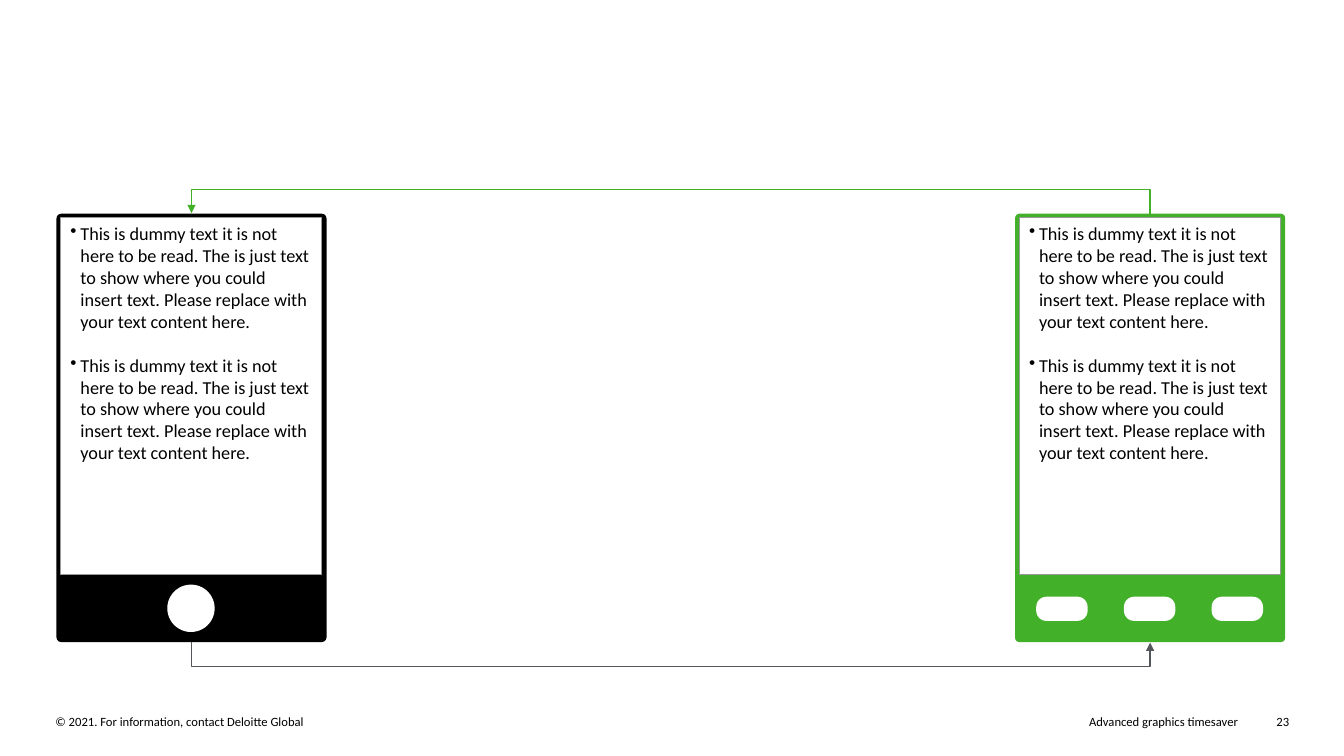
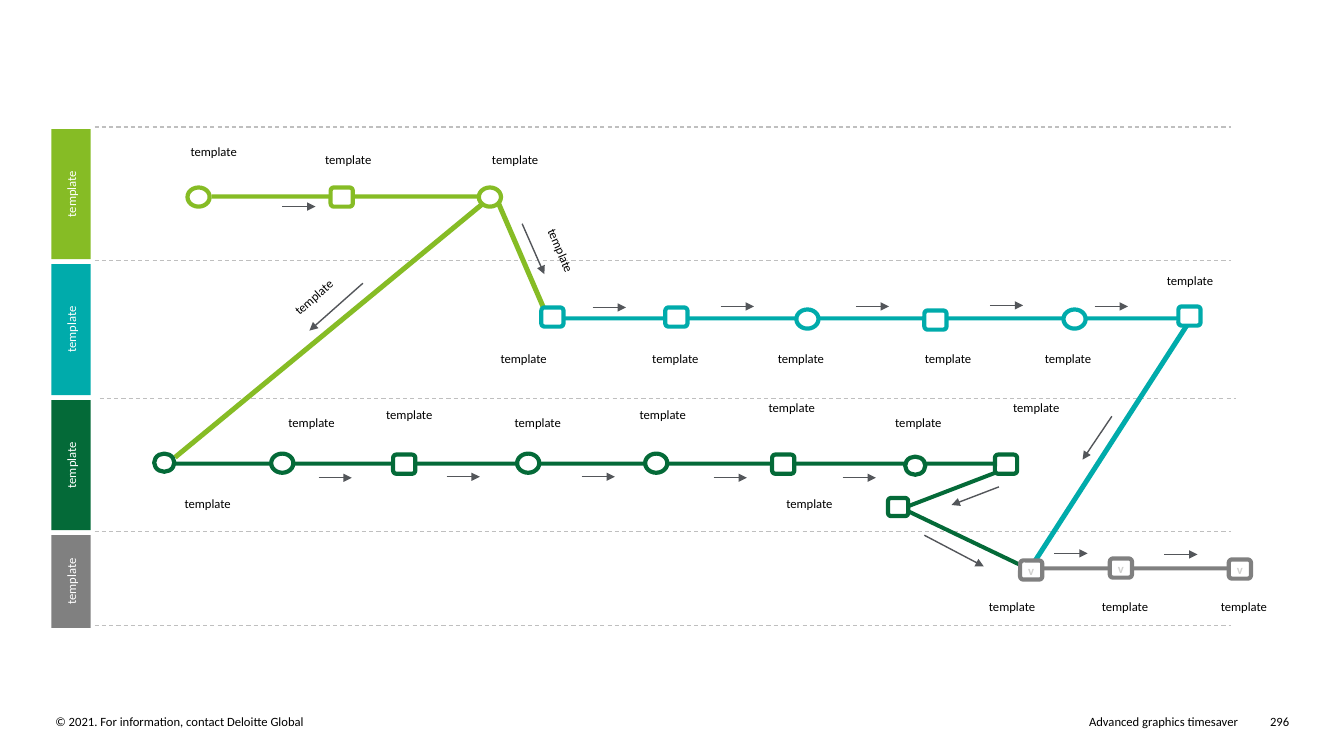
from dataclasses import dataclass

from lxml.etree import SubElement
from pptx import Presentation
from pptx.dml.color import RGBColor
from pptx.enum.dml import MSO_LINE
from pptx.enum.shapes import MSO_CONNECTOR, MSO_SHAPE
from pptx.enum.text import MSO_ANCHOR, PP_ALIGN
from pptx.oxml.ns import qn
from pptx.util import Inches, Pt

COLUMNS, ROWS = 133.33, 75
FONT = "Calibri"
BLACK, WHITE = "000000", "FFFFFF"
GREEN, LIME, TEAL, FOREST, GRAY = "43B02A", "86BC25", "00ABAB", "046A38", "808080"
SLATE, SILVER, DASH, FAINT = "53565A", "97999B", "BFBFBF", "D0D0CE"
LEFT, CENTER, RIGHT = PP_ALIGN.LEFT, PP_ALIGN.CENTER, PP_ALIGN.RIGHT
RECT, ROUND, OVAL = MSO_SHAPE.RECTANGLE, MSO_SHAPE.ROUNDED_RECTANGLE, MSO_SHAPE.OVAL

COPYRIGHT = "© 2021. For information, contact Deloitte Global"
DUMMY = ("This is dummy text it is not here to be read. The is just text to show "
         "where you could insert text. Please replace with your text content here.")
LABEL = "template"

LANES = [(LIME, 0.8, 12.9), (TEAL, 14.2, 13), (FOREST, 27.7, 12.9), (GRAY, 41.1, 9.2)]
DIVIDERS = [(4.4, 0.6), (4.4, 13.8), (4.9, 27.5), (4.4, 40.7), (4.4, 50.1)]
TRACKS = [
    (GRAY, (97, 44.2, 21.7, 0.4), 0),
    (FOREST, (84.3, 41.2, 12.8, 0.4), 205.6),
    (LIME, (40.5, 13.6, 12.8, 0.5), 66.7),
    (LIME, (16, 7.3, 27.7, 0.4), 0),
    (LIME, (7.8, 20.4, 40, 0.5), 140.5),
    (TEAL, (50.9, 19.4, 61.3, 0.4), 0),
    (TEAL, (90.7, 31.8, 28.9, 0.5), 122.8),
    (FOREST, (11.8, 33.8, 82, 0.4), 0),
    (FOREST, (84.4, 36.2, 10.9, 0.4), 339),
]
LARGE, SMALL = (2.2, 1.9), (2, 1.8)
STATIONS = [
    (LIME, OVAL, LARGE, [(13.6, 6.6), (42.5, 6.6)]),
    (LIME, ROUND, LARGE, [(27.8, 6.6)]),
    (TEAL, ROUND, LARGE, [(48.7, 18.5), (61, 18.5), (86.7, 18.8), (111.9, 18.4)]),
    (TEAL, OVAL, LARGE, [(74, 18.7), (100.5, 18.7)]),
    (FOREST, OVAL, SMALL, [(10.3, 33), (84.8, 33.3)]),
    (FOREST, OVAL, LARGE, [(21.9, 33), (46.3, 33), (59, 33)]),
    (FOREST, ROUND, LARGE, [(34, 33.1), (71.6, 33.1), (93.7, 33.1)]),
    (FOREST, ROUND, SMALL, [(83.1, 37.4)]),
    (GRAY, ROUND, LARGE, [(96.2, 43.6), (105.1, 43.4), (116.9, 43.5)]),
]
LABEL_ROWS = {
    2.3: [16.2],
    3.1: [29.55, 46.1],
    15.1: [113.05],
    22.8: [46.95, 62, 74.45, 89.05, 100.95],
    27.7: [73.55, 97.8],
    28.4: [35.6, 60.75],
    29.2: [25.9, 48.35, 86.1],
    37.2: [15.6, 75.3],
    47.4: [95.4, 106.6, 118.4],
}
TILTED_LABELS = [(50.65, 12.1, 66.9), (26.1, 16.7, 318.5)]
ARROW_ROWS = {
    8.5: [23],
    18.3: [93.2],
    18.4: [66.5, 79.9, 103.6],
    18.5: [53.8],
    35.3: [39.3, 52.7],
    35.4: [26.6, 65.8, 78.6],
    42.9: [99.6],
    43: [110.5],
}
ARROW_LENGTH = 3.3
SLANTED_ARROWS = [
    (46.8, 10.2, 49, 15.2),
    (31, 16.1, 25.7, 20.8),
    (105.3, 29.3, 102.4, 33.6),
    (94.1, 36.3, 89.4, 38.1),
    (86.7, 41.1, 92.6, 44.2),
]


@dataclass
class Box:
    left: float
    top: float
    width: float
    height: float

    def inner(self, left, top, width, height):
        return Box(self.left + left, self.top + top, width, height)

    def lengths(self):
        return [cells(n) for n in (self.left, self.top, self.width, self.height)]


def cells(count):
    return Inches(count / 10)


def color(value):
    return RGBColor.from_string(value)


def write(shape, text, size=9, ink=BLACK, align=LEFT, anchor=MSO_ANCHOR.TOP,
          insets=(0, 0), bold=False, bullet=False, gap=0, vertical=None):
    frame = shape.text_frame
    frame.word_wrap = True
    frame.vertical_anchor = anchor
    frame.margin_left = frame.margin_right = cells(insets[0])
    frame.margin_top = frame.margin_bottom = cells(insets[1])
    if vertical:
        frame._txBody.bodyPr.set("vert", vertical)
    for index, line in enumerate(text.split("\n")):
        para = frame.add_paragraph() if index else frame.paragraphs[0]
        para.alignment = align
        if index:
            para.space_before = Pt(gap)
        if bullet:
            properties = para._p.get_or_add_pPr()
            properties.set("marL", str(cells(1)))
            properties.set("indent", str(-cells(1)))
            SubElement(properties, qn("a:buChar")).set("char", "•")
        span = para.add_run()
        span.text = line
        span.font.name = FONT
        span.font.size = Pt(size)
        span.font.bold = bold
        span.font.color.rgb = color(ink)


def add_text(page, box, text, angle=0, **style):
    shape = page.shapes.add_textbox(*box.lengths())
    shape.rotation = angle
    write(shape, text, **style)


def add_block(page, kind, box, fill, outline=None, weight=1, corner=None, angle=0):
    shape = page.shapes.add_shape(kind, *box.lengths())
    shape.shadow.inherit = False
    shape.rotation = angle
    shape.fill.solid()
    shape.fill.fore_color.rgb = color(fill)
    if outline:
        shape.line.color.rgb = color(outline)
        shape.line.width = Pt(weight)
    else:
        shape.line.fill.background()
    if corner is not None:
        shape.adjustments[0] = corner
    return shape


def add_line(page, box, ends, ink, weight=1, dash=None, arrow=False,
             kind=MSO_CONNECTOR.STRAIGHT):
    x1, y1, x2, y2 = ends
    connector = page.shapes.add_connector(
        kind, cells(box.left + x1), cells(box.top + y1),
        cells(box.left + x2), cells(box.top + y2))
    connector.line.color.rgb = color(ink)
    connector.line.width = Pt(weight)
    if dash:
        connector.line.dash_style = dash
    if arrow:
        SubElement(connector.line._get_or_add_ln(), qn("a:tailEnd")).set("type", "triangle")
    SubElement(connector._element.spPr, qn("a:effectLst"))
    return connector


def add_loop(page, box, ink, flip):
    thickness, reach = 0.1, 2.5
    middle_x, middle_y = box.left + box.width / 2, box.top + box.height / 2
    upright = Box(middle_x - thickness / 2, middle_y - box.width / 2, thickness, box.width)
    loop = add_line(page, upright, (0, 0, thickness, box.width), ink, arrow=True,
                    kind=MSO_CONNECTOR.ELBOW)
    loop.rotation = 270
    properties = loop._element.spPr
    properties.find(qn("a:xfrm")).set(flip, "1")
    geometry = properties.find(qn("a:prstGeom"))
    guides = geometry.find(qn("a:avLst"))
    if guides is None:
        guides = SubElement(geometry, qn("a:avLst"))
    guide = SubElement(guides, qn("a:gd"))
    guide.set("name", "adj1")
    guide.set("fmla", f"val {round(reach / thickness * 100000)}")


def add_footer(page, box, number):
    add_text(page, box.inner(0, 0, 58.6, 1.5), COPYRIGHT)
    add_text(page, box.inner(63.8, 0, 53.5, 1.5), "Advanced graphics timesaver", align=RIGHT)
    add_text(page, box.inner(119, 0, 3.4, 1.5), number, align=RIGHT)


def add_phone(page, box, body, corner):
    add_block(page, ROUND, box, body, corner=corner)
    screen = add_block(page, RECT, box.inner(0.4, 0.4, 25.9, 35.4), WHITE, SILVER, 0.75)
    write(screen, f"{DUMMY}\n{DUMMY}", size=13, insets=(1, 0.5), bullet=True, gap=15.7)


def add_phones(page, box):
    width = 26.8
    right = box.inner(box.width - width, 0, width, box.height)
    left = box.inner(0, 0, width, box.height)
    add_phone(page, right, GREEN, 0.016)
    for index in range(3):
        add_block(page, ROUND, right.inner(2.1 + 8.7 * index, 38, 5.1, 2.4), WHITE, corner=0.42)
    add_phone(page, left, BLACK, 0.018)
    add_block(page, OVAL, left.inner(11, 36.8, 4.7, 4.7), WHITE)
    span = box.width - width
    add_loop(page, box.inner(width / 2, 0, span, 0), GREEN, "flipV")
    add_loop(page, box.inner(width / 2, box.height, span, 0), SLATE, "flipH")


def add_lanes(page, box):
    for fill, top, height in LANES:
        head = add_block(page, RECT, box.inner(0.1, top, 3.9, height), fill)
        write(head, LABEL, ink=WHITE, align=CENTER, anchor=MSO_ANCHOR.MIDDLE,
              insets=(0, 0.5), vertical="vert270")
    for left, top in DIVIDERS:
        add_line(page, box, (left, top, left + 112.7, top), DASH, 0.75, MSO_LINE.DASH)


def add_route(page, box):
    for fill, place, angle in TRACKS:
        add_block(page, RECT, box.inner(*place), fill, angle=angle)
    for outline, kind, size, places in STATIONS:
        for place in places:
            station = add_block(page, kind, box.inner(*place, *size), WHITE, outline, 3)
            if outline == GRAY:
                write(station, "v", ink=FAINT, align=CENTER, anchor=MSO_ANCHOR.MIDDLE, bold=True)


def add_route_arrows(page, box):
    level = [(left, top, left + ARROW_LENGTH, top)
             for top, lefts in ARROW_ROWS.items() for left in lefts]
    for ends in level + SLANTED_ARROWS:
        add_line(page, box, ends, SLATE, arrow=True)


def add_route_labels(page, box):
    width, height = 11.4, 1.5
    level = [(middle, top, 0) for top, middles in LABEL_ROWS.items() for middle in middles]
    for middle, top, angle in level + TILTED_LABELS:
        add_text(page, box.inner(middle - width / 2, top, width, height), LABEL,
                 angle=angle, align=CENTER, anchor=MSO_ANCHOR.MIDDLE)


def add_route_map(page, box):
    for add_part in (add_lanes, add_route, add_route_arrows, add_route_labels):
        add_part(page, box)


def main():
    deck = Presentation()
    deck.slide_width, deck.slide_height = cells(COLUMNS), cells(ROWS)
    for number, add_content, box in (
        ("23", add_phones, Box(5.6, 21.2, 121.9, 42.5)),
        ("296", add_route_map, Box(5, 12, 123.5, 51)),
    ):
        page = deck.slides.add_slide(deck.slide_layouts[6])
        add_footer(page, Box(5.5, 70.8, 122.4, 1.5), number)
        add_content(page, box)
    deck.save("out.pptx")


if __name__ == "__main__":
    main()
